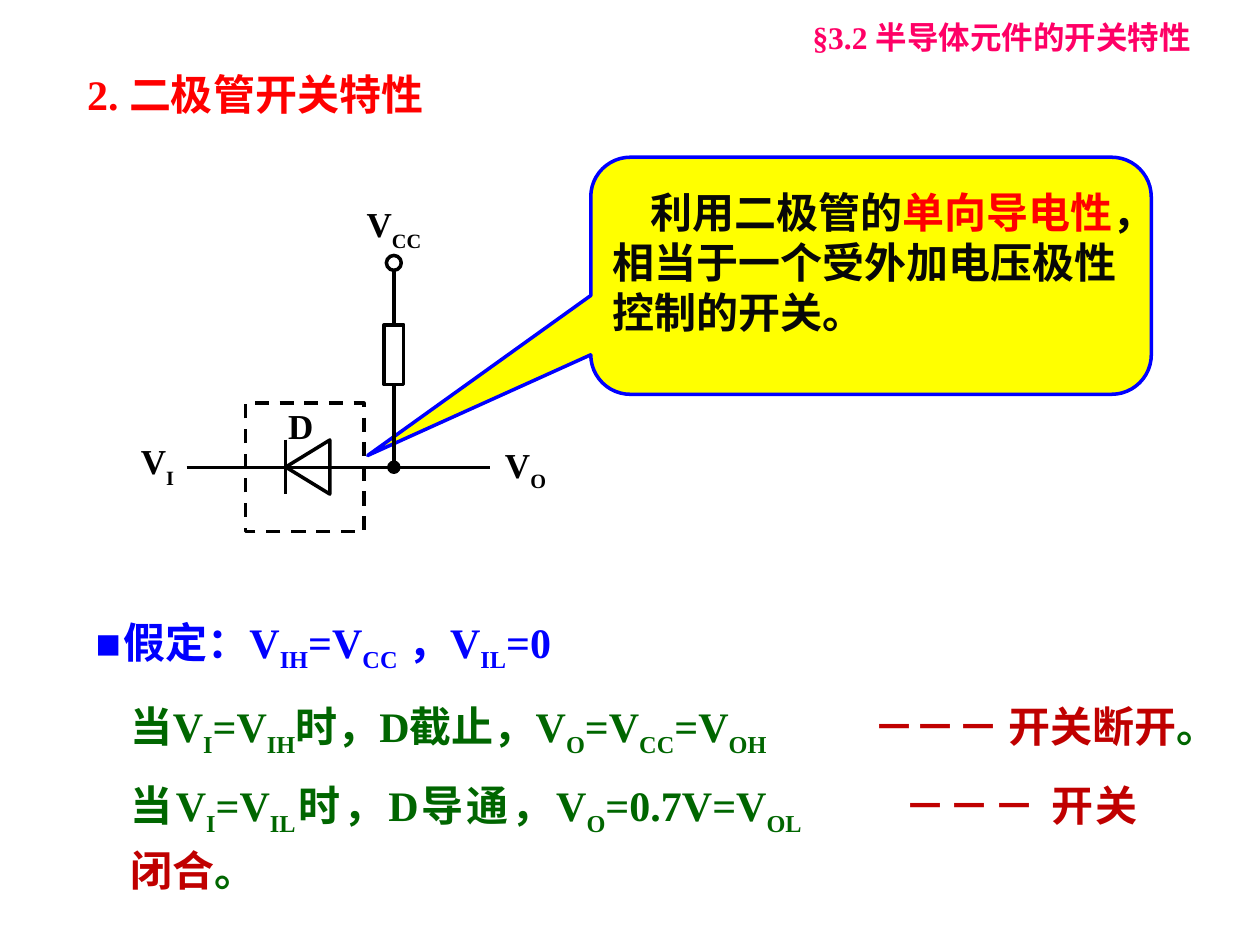
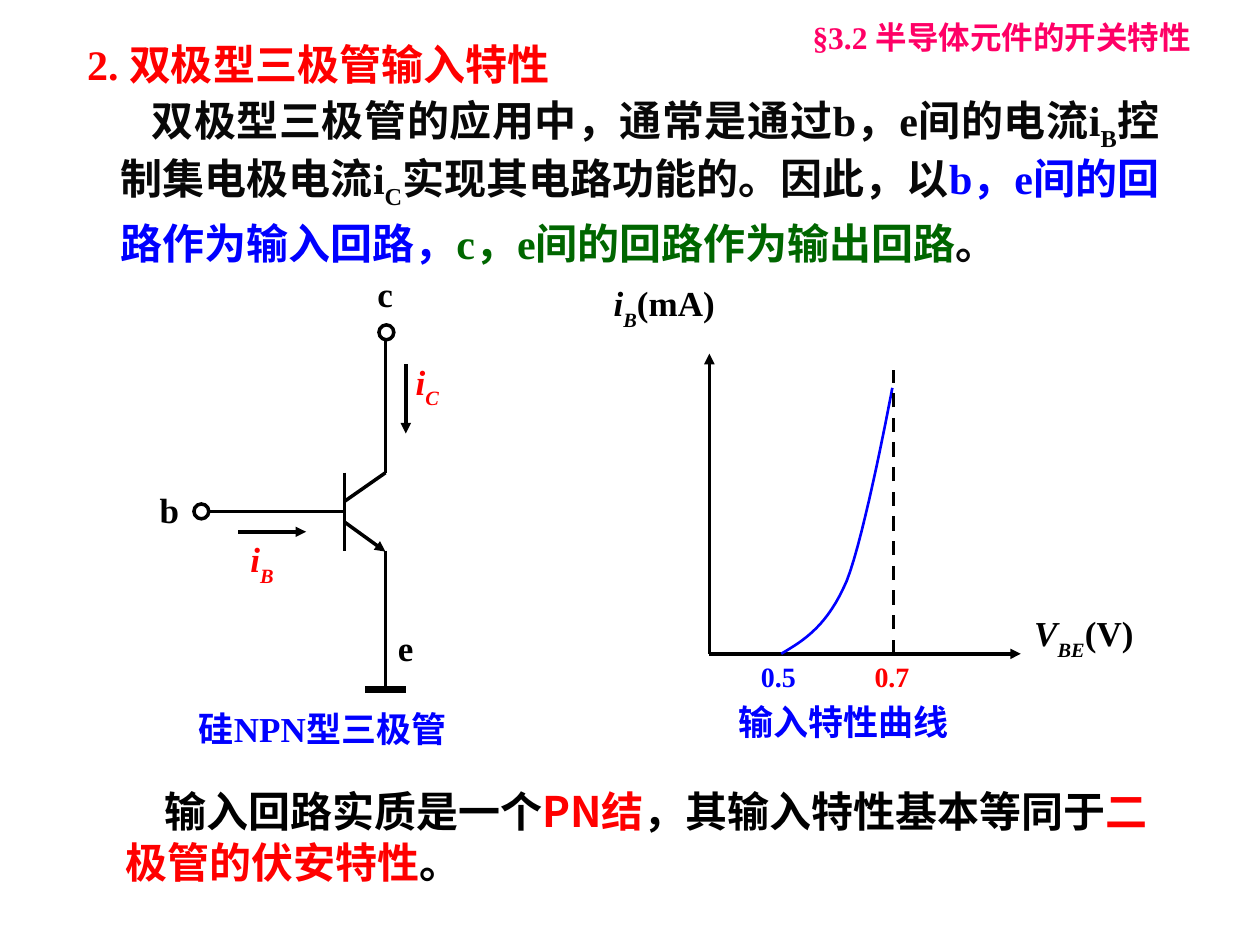
from pptx import Presentation
from pptx import util as u
from pptx.dml.color import RGBColor
from pptx.enum import dml, shapes, text
from pptx.oxml.ns import qn
from lxml import etree

SERIF, SANS, ARIAL = "Times New Roman", "Noto Sans CJK SC", "Arial"
BLACK, INK, WHITE, RED, BLUE = "000000", "080808", "FFFFFF", "FF0000", "0000FF"
GREEN, CRIMSON, PINK, YELLOW = "006600", "C00000", "FF0066", "FFFF00"
SHAPE = shapes.MSO_SHAPE
JUSTIFY = text.PP_ALIGN.JUSTIFY
SUBSCRIPT_LINE = 33


def rgb(value):
    return RGBColor.from_string(value)


def add_runs(p, runs, size, font=SERIF, base=-25000):
    for content, color, *style in runs:
        for i, part in enumerate(content.split("~")):
            if not part:
                continue
            r = p.add_run()
            r.text = part
            r.font.size = u.Pt(size)
            r.font.bold = True
            r.font.italic = "i" in style
            r.font.name = font
            r.font.color.rgb = rgb(color)
            rpr = r.font._element
            etree.SubElement(rpr, qn("a:ea")).set("typeface", SANS)
            if i % 2:
                rpr.set("baseline", str(base))


def set_indent(p, left=0, first=0):
    ppr = p._p.get_or_add_pPr()
    ppr.set("marL", str(u.Cm(left)))
    ppr.set("indent", str(u.Cm(first)))
    return ppr


def add_bullet(p, char, width, color):
    ppr = set_indent(p, width, -width)
    clr = etree.SubElement(ppr, qn("a:buClr"))
    etree.SubElement(clr, qn("a:srgbClr")).set("val", color)
    etree.SubElement(ppr, qn("a:buFont")).set("typeface", SERIF)
    etree.SubElement(ppr, qn("a:buChar")).set("char", char)


def add_tab(p, position):
    tabs = etree.SubElement(p._p.get_or_add_pPr(), qn("a:tabLst"))
    tab = etree.SubElement(tabs, qn("a:tab"))
    tab.set("pos", str(u.Cm(position)))
    tab.set("algn", "l")


def add_text(s, box, runs, size=24, font=SERIF, line=None, align=None,
             first=0, bullet=None, tab=None):
    sp = s.shapes.add_textbox(*map(u.Cm, box))
    tf = sp.text_frame
    tf.word_wrap = True
    p = tf.paragraphs[0]
    if first:
        set_indent(p, first=first)
    if bullet:
        add_bullet(p, bullet, 0.56, runs[0][1])
    if tab:
        add_tab(p, tab)
    if line:
        p.line_spacing = u.Pt(line)
    if align is not None:
        p.alignment = align
    add_runs(p, runs, size, font)
    return sp


def add_title(s, box, content):
    sp = s.shapes.title
    sp.left, sp.top, sp.width, sp.height = map(u.Cm, box)
    tf = sp.text_frame
    tf.word_wrap = True
    tf.auto_size = text.MSO_AUTO_SIZE.NONE
    tf.vertical_anchor = text.MSO_ANCHOR.MIDDLE
    p = tf.paragraphs[0]
    p.alignment = text.PP_ALIGN.LEFT
    p.line_spacing = u.Pt(29)
    add_runs(p, [(content, RED)], 24)


def add_section_header(s):
    add_text(s, (16.13, 0.18, 9.09, 1.02), [("§3.2 半导体元件的开关特性", PINK)], 18, line=23)


def new_slide(prs, title_box, title):
    s = prs.slides.add_slide(prs.slide_layouts[5])
    add_title(s, title_box, title)
    add_section_header(s)
    return s


class Region:
    def __init__(self, s, left, top):
        self.s, self.left, self.top = s, left, top

    def at(self, x, y):
        return u.Cm(self.left + x), u.Cm(self.top + y)

    def shape(self, kind, x, y, w, h, fill=None, line=BLACK):
        sp = self.s.shapes.add_shape(kind, *self.at(x, y), u.Cm(w), u.Cm(h))
        sp.shadow.inherit = False
        if fill:
            sp.fill.solid()
            sp.fill.fore_color.rgb = rgb(fill)
        else:
            sp.fill.background()
        sp.line.color.rgb = rgb(line)
        sp.line.width = u.Pt(2)
        return sp

    def terminal(self, x, y):
        self.shape(SHAPE.OVAL, x - 0.15, y - 0.15, 0.3, 0.3, WHITE)

    def wire(self, x1, y1, x2, y2, width=2, arrow=False, dashed=False):
        c = self.s.shapes.add_connector(
            shapes.MSO_CONNECTOR.STRAIGHT, *self.at(x1, y1), *self.at(x2, y2))
        c.line.color.rgb = rgb(BLACK)
        c.line.width = u.Pt(width)
        if dashed:
            c.line.dash_style = dml.MSO_LINE.DASH
        if arrow:
            tail = etree.SubElement(c.line._get_or_add_ln(), qn("a:tailEnd"))
            tail.set("type", "triangle")
        etree.SubElement(c._element.spPr, qn("a:effectLst"))

    def label(self, x, y, w, *runs, size=20):
        sp = self.s.shapes.add_textbox(*self.at(x, y), u.Cm(w), u.Cm(1.12))
        tf = sp.text_frame
        tf.word_wrap = False
        tf.auto_size = text.MSO_AUTO_SIZE.SHAPE_TO_FIT_TEXT
        add_runs(tf.paragraphs[0], runs, size, base=-30000)

    def caption(self, x, y, w, content, font=SERIF):
        add_text(self.s, (self.left + x, self.top + y, w, 1.12), [(content, BLUE)],
                 20, font, line=25, align=JUSTIFY)


def draw_callout(s, left, top):
    g = Region(s, left, top)
    sp = g.shape(SHAPE.ROUNDED_RECTANGULAR_CALLOUT, 0, 0, 11.3, 4.78, YELLOW, BLUE)
    for i, value in enumerate((-0.898, 0.758, 0.167)):
        sp.adjustments[i] = value
    add_text(s, (left + 0.18, top + 0.48, 11.2, 3.33), [
        ("利用二极管的", INK), ("单向导电性", RED),
        ("，相当于一个受外加电压极性控制的开关。", INK)], font=SANS, line=28.6, first=0.77)


def draw_diode_circuit(s, left, top):
    g = Region(s, left, top)
    supply_x, wire_y = 5.35, 5.46
    g.wire(supply_x, 1.4, supply_x, wire_y)
    g.shape(SHAPE.RECTANGLE, supply_x - 0.2, 2.59, 0.4, 1.2, WHITE)
    g.terminal(supply_x, 1.34)
    g.wire(3.17, 4.9, 3.17, 5.99)
    g.wire(1.17, wire_y, 7.29, wire_y)
    g.shape(SHAPE.OVAL, supply_x - 0.1, wire_y - 0.1, 0.2, 0.2, BLACK)
    g.label(0, 4.78, 1.22, ("V~I~", BLACK))
    g.label(7.34, 4.85, 1.4, ("V~O~", BLACK))
    g.label(4.55, 0, 1.73, ("V~CC~", BLACK))
    g.shape(SHAPE.ISOSCELES_TRIANGLE, 3.07, 5.01, 1.09, 0.89).rotation = 270
    frame = g.shape(SHAPE.RECTANGLE, 2.36, 4.17, 2.39, 2.59)
    frame.line.dash_style = dml.MSO_LINE.DASH
    g.label(2.97, 4.06, 1.04, ("D", BLACK))


def write_switch_states(s, left, top):
    add_text(s, (left, top, 13.36, 1.3), [("假定：V~IH~=V~CC~ ，V~IL~=0", BLUE)],
             line=SUBSCRIPT_LINE, bullet="■")
    states = [
        (1.7, 22.5, 14.96, "当V~I~=V~IH~时，D截止，V~O~=V~CC~=V~OH~\t", "－－－ 开关断开", None),
        (3.3, 20.8, 15.06, "当V~I~=V~IL~时，D导通，V~O~=0.7V=V~OL~\t", "－－－ 开关闭合", JUSTIFY),
    ]
    for dy, width, tab, condition, result, align in states:
        add_text(s, (left + 0.71, top + dy, width, 1.3),
                 [(condition, GREEN), (result, CRIMSON), ("。", GREEN)],
                 line=SUBSCRIPT_LINE, align=align, tab=tab)


def draw_transistor(s, left, top):
    g = Region(s, left, top)
    base_x, stem_x, ground_y = 3.97, 4.8, 8.53
    g.wire(stem_x, 1.4, stem_x, 4.17)
    g.wire(stem_x, 5.74, stem_x, ground_y)
    g.wire(base_x, 4.17, base_x, 5.74)
    g.wire(stem_x, 4.17, base_x, 4.75)
    g.wire(base_x, 5.16, stem_x, 5.76, arrow=True)
    g.wire(1.22, 4.95, base_x, 4.95)
    g.terminal(4.82, 1.34)
    g.terminal(1.09, 4.95)
    g.wire(1.83, 5.36, 3.2, 5.36, arrow=True)
    g.wire(5.21, 1.98, 5.21, 3.38, arrow=True)
    g.wire(4.39, ground_y, 5.21, ground_y, width=4)
    g.label(1.83, 5.36, 1.02, ("i~B~", RED, "i"))
    g.label(5.16, 1.78, 1.02, ("i~C~", RED, "i"))
    g.caption(0.79, 8.74, 5.56, "硅NPN型三极管")
    for name, x, y in (("c", 4.39, 0), ("b", 0, 4.37), ("e", 4.8, 7.14)):
        g.label(x, y, 0.84, (name, BLACK))


def bezier(points, steps=16):
    for k in range(1, steps + 1):
        t = k / steps
        weights = ((1 - t) ** 3, 3 * t * (1 - t) ** 2, 3 * t * t * (1 - t), t ** 3)
        yield tuple(sum(w * pt[axis] for w, pt in zip(weights, points)) for axis in (0, 1))


def draw_input_curve(s, left, top):
    g = Region(s, left, top)
    origin_x, axis_y, limit_x = 2.18, 7.62, 5.89
    g.wire(origin_x, axis_y, 8.46, axis_y, arrow=True)
    g.wire(origin_x, axis_y, origin_x, 1.57, arrow=True)
    start, knee, end = (3.63, axis_y), (4.95, 6.15), (5.87, 2.26)
    curve = [*bezier((start, (4.11, 7.34), (4.57, 7.04), knee)),
             *bezier((knee, (5.31, 5.26), end, end))]
    fb = s.shapes.build_freeform(*g.at(*start))
    fb.add_line_segments([g.at(*pt) for pt in curve], close=False)
    sp = fb.convert_to_shape()
    sp.shadow.inherit = False
    sp.fill.background()
    sp.line.color.rgb = rgb(BLUE)
    sp.line.width = u.Pt(1.5)
    g.wire(limit_x, axis_y, limit_x, 1.9, dashed=True)
    g.label(8.48, 6.65, 3.0, ("V~BE~", BLACK, "i"), ("(V)", BLACK))
    g.label(0, 0, 3.0, ("i~B~", BLACK, "i"), ("(mA)", BLACK))
    g.label(2.97, axis_y, 1.4, ("0.5", BLUE), size=16)
    g.label(5.26, axis_y, 1.4, ("0.7", RED), size=16)
    g.caption(2.51, 8.41, 4.83, "输入特性曲线", ARIAL)


def build_diode_slide(prs):
    s = new_slide(prs, (1.5, 1.19, 8.41, 1.4), "2. 二极管开关特性")
    draw_callout(s, 11.91, 3.17)
    draw_diode_circuit(s, 2.59, 3.96)
    write_switch_states(s, 1.68, 12.29)


def build_transistor_slide(prs):
    s = new_slide(prs, (1.5, 0.58, 11.4, 1.4), "2. 双极型三极管输入特性")
    add_text(s, (2.18, 1.78, 21.44, 3.33), [
        ("双极型三极管的应用中，通常是通过b，e间的电流i~B~控制集电极电流i~C~"
         "实现其电路功能的。因此，以", INK),
        ("b，e间的回路作为输入回路，", BLUE),
        ("c，e间的回路作为输出回路", GREEN), ("。", INK)],
        line=SUBSCRIPT_LINE, align=JUSTIFY, first=0.63)
    draw_transistor(s, 2.97, 5.36)
    draw_input_curve(s, 12.12, 5.56)
    add_text(s, (2.29, 15.72, 21.41, 2.31), [
        ("输入回路实质是一个", BLACK), ("PN结", RED),
        ("，其输入特性基本等同于", BLACK), ("二极管的伏安特性", RED), ("。", BLACK)],
        font=SANS, line=28.8, first=0.77)


def main():
    prs = Presentation()
    prs.slide_width, prs.slide_height = u.Cm(25.4), u.Cm(19.05)
    build_diode_slide(prs)
    build_transistor_slide(prs)
    prs.save("out.pptx")


if __name__ == "__main__":
    main()
